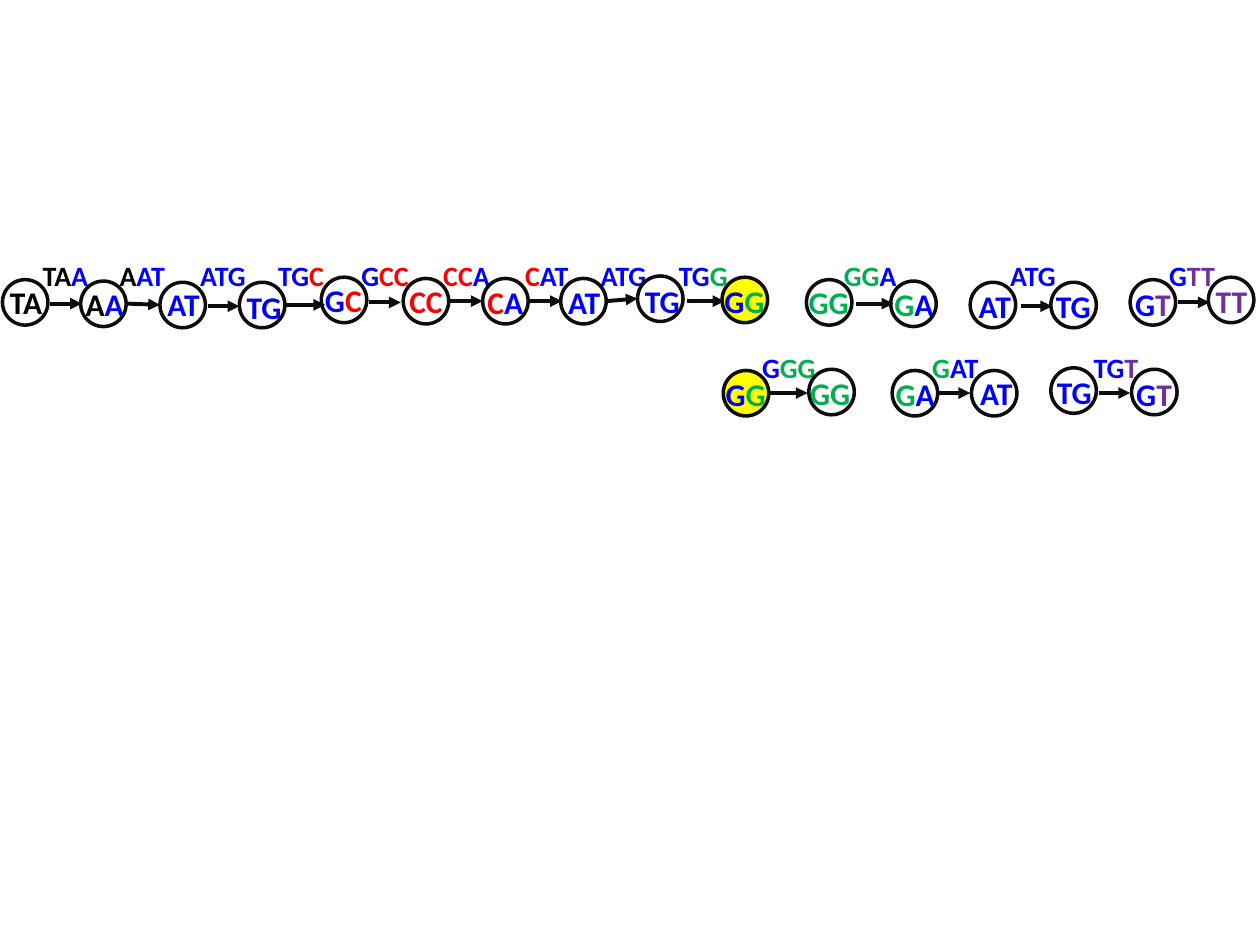
from itertools import groupby

from lxml import etree
from pptx import Presentation
from pptx.dml.color import RGBColor
from pptx.enum import shapes, text
from pptx.oxml import ns
from pptx.util import Pt

COLORS = {"k": "000000", "b": "0000FF", "r": "FF0000", "g": "00B050",
          "p": "7030A0", "outline": "0D0D0D", "shared": "FFFF00"}
DIAMETER = 26
UPPER_LABELS, LOWER_LABELS = 144, 197

# Box widths of the node and edge labels
WIDTHS = {"TA": 34.6, "AA": 36.7, "AT": 34.6, "TG": 35.3, "GC": 36, "CC": 33.8,
          "CA": 35.3, "GG": 37.4, "GA": 37.4, "GT": 35.3, "TT": 32.4,
          "TAA": 42.5, "AAT": 42.5, "ATG": 42.5, "TGC": 41.8, "GCC": 41.8,
          "CCA": 41.8, "CAT": 41, "TGG": 43.2, "GGG": 45.4, "GGA": 45.4,
          "GAT": 42.5, "TGT": 41, "GTT": 41}

# 2-mer, letter colours, circle left and top, label left and top
NODES = [
    ("TA", "kk", 1.4, 159.8, -1.4, 158.4),
    ("AA", "kb", 46.1, 160.6, 41.8, 159.1),
    ("AT", "bb", 91.4, 161.3, 88.6, 159.1),
    ("TG", "bb", 136.8, 161.3, 133.9, 161.3),
    ("GC", "br", 183.6, 158.4, 178.6, 157),
    ("CC", "rr", 230.4, 159.1, 226.8, 157.7),
    ("CA", "rb", 275.8, 159.1, 271.4, 158.4),
    ("AT", "bb", 320.4, 159.1, 317.5, 158.4),
    ("TG", "bb", 364.3, 157.7, 361.4, 157.7),
    ("GG", "bg", 412.6, 158.4, 406.8, 157.7),
    ("GG", "bg", 413.3, 211.7, 407.5, 211),
    ("GG", "gg", 462.2, 211, 455.8, 210.2),
    ("GG", "gg", 460.8, 159.8, 455, 158.4),
    ("GA", "gb", 509, 160.6, 504, 159.1),
    ("GA", "gb", 509.8, 211.7, 504.7, 211),
    ("AT", "bb", 555.1, 211.7, 553, 210.2),
    ("AT", "bb", 554.4, 161.3, 552.2, 160.6),
    ("TG", "bb", 600.5, 161.3, 596.2, 160.6),
    ("TG", "bb", 600.5, 210.2, 596.9, 209.5),
    ("GT", "bp", 646.6, 211, 642.2, 211),
    ("GT", "bp", 645.8, 159.8, 641.5, 159.1),
    ("TT", "pp", 690.5, 158.4, 687.6, 157.7),
]

# 3-mer, letter colours, label left and top, arrow start and end
EDGES = [
    ("TAA", "kkb", 17.3, UPPER_LABELS, 28.8, 173.5, 46.8, 173.5),
    ("AAT", "kbb", 61.2, UPPER_LABELS, 72, 173.5, 91.4, 174.2),
    ("ATG", "bbb", 107.3, UPPER_LABELS, 118.8, 175, 136.8, 175),
    ("TGC", "bbr", 151.9, UPPER_LABELS, 162.7, 174.2, 185.8, 174.2),
    ("GCC", "brr", 199.4, UPPER_LABELS, 211, 172.8, 229, 172.8),
    ("CCA", "rrb", 246.2, UPPER_LABELS, 256.3, 172.1, 275.8, 172.1),
    ("CAT", "rbb", 293, UPPER_LABELS, 303.1, 172.1, 321.1, 172.1),
    ("ATG", "bbb", 336.2, UPPER_LABELS, 346.3, 172.1, 364.3, 170.6),
    ("TGG", "bbg", 380.9, UPPER_LABELS, 392.4, 172.1, 414, 172.1),
    ("GGG", "bgg", 428.4, LOWER_LABELS, 439.9, 224.6, 461.5, 224.6),
    ("GGA", "ggb", 475.2, UPPER_LABELS, 488.9, 173.5, 510.5, 173.5),
    ("GAT", "gbb", 525.6, LOWER_LABELS, 536.4, 224.6, 554.4, 224.6),
    ("ATG", "bbb", 570.2, UPPER_LABELS, 583.2, 175, 601.2, 175),
    ("TGT", "bbp", 617.8, LOWER_LABELS, 627.8, 224.6, 645.8, 224.6),
    ("GTT", "bpp", 661, UPPER_LABELS, 673.2, 172.8, 691.2, 172.8),
]

prs = Presentation()
prs.slide_width, prs.slide_height = Pt(720), Pt(540)
slide = prs.slides.add_slide(prs.slide_layouts[6])


def add_label(kmer, colours, left, top, height, size):
    box = slide.shapes.add_textbox(Pt(left), Pt(top), Pt(WIDTHS[kmer]), Pt(height))
    frame = box.text_frame
    frame.word_wrap = False
    frame.auto_size = text.MSO_AUTO_SIZE.SHAPE_TO_FIT_TEXT
    # One run for each stretch of letters in the same colour
    for colour, pairs in groupby(zip(kmer, colours), key=lambda pair: pair[1]):
        run = frame.paragraphs[0].add_run()
        run.text = "".join(letter for letter, _ in pairs)
        run.font.name = "Calibri"
        run.font.size = Pt(size)
        run.font.bold = True
        run.font.color.rgb = RGBColor.from_string(COLORS[colour])


# Edges: arrows with 3-mer labels
for kmer, colours, left, top, *ends in EDGES:
    arrow = slide.shapes.add_connector(shapes.MSO_CONNECTOR.STRAIGHT,
                                       *[Pt(value) for value in ends])
    arrow.line.color.rgb = RGBColor.from_string(COLORS["outline"])
    arrow.line.width = Pt(2.25)
    etree.SubElement(arrow.line._get_or_add_ln(), ns.qn("a:tailEnd"), type="triangle")
    etree.SubElement(arrow._element.spPr, ns.qn("a:effectLst"))
    add_label(kmer, colours, left, top, 26.6, 16)

# Nodes: circles with 2-mer labels, the shared node filled
for kmer, colours, circle_left, circle_top, left, top in NODES:
    circle = slide.shapes.add_shape(shapes.MSO_SHAPE.OVAL, Pt(circle_left),
                                    Pt(circle_top), Pt(DIAMETER), Pt(DIAMETER))
    circle.shadow.inherit = False
    circle.line.color.rgb = RGBColor.from_string(COLORS["outline"])
    circle.line.width = Pt(2)
    if (kmer, colours) == ("GG", "bg"):
        circle.fill.solid()
        circle.fill.fore_color.rgb = RGBColor.from_string(COLORS["shared"])
    else:
        circle.fill.background()
    add_label(kmer, colours, left, top, 29.1, 18)

prs.save("out.pptx")
